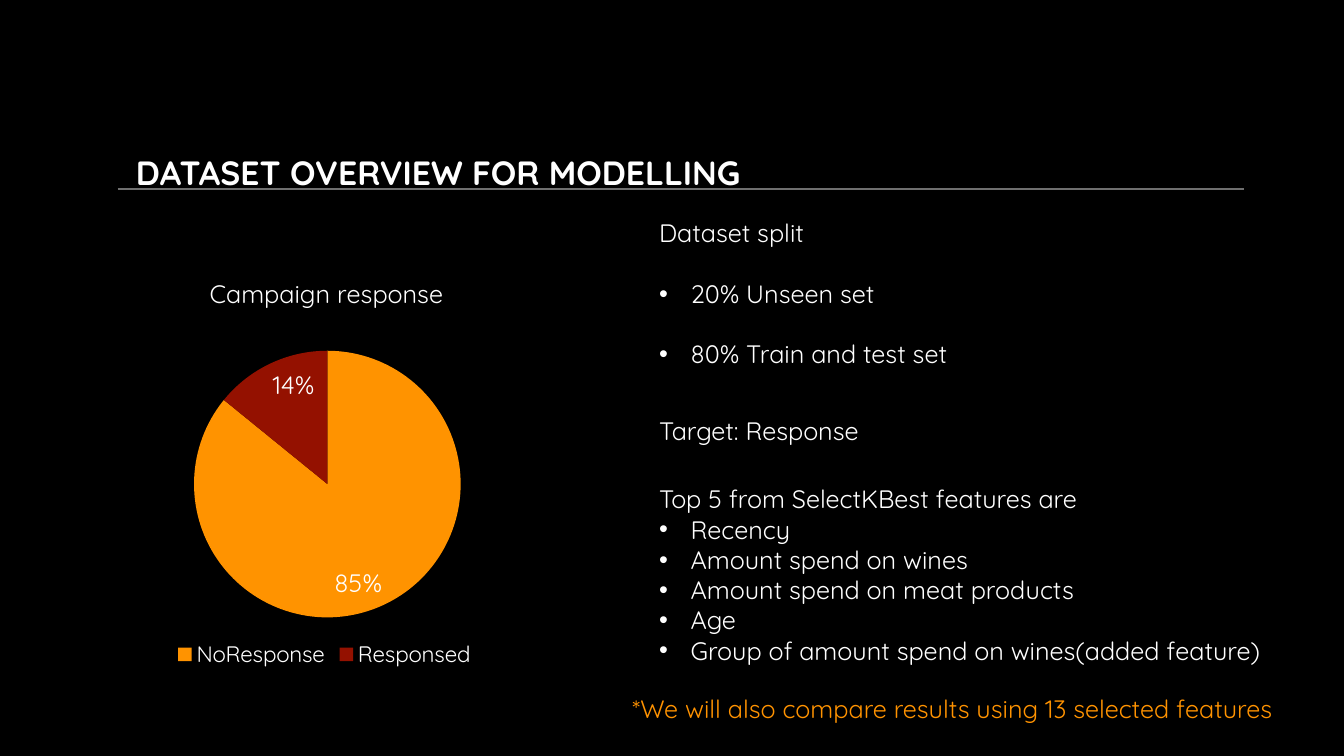
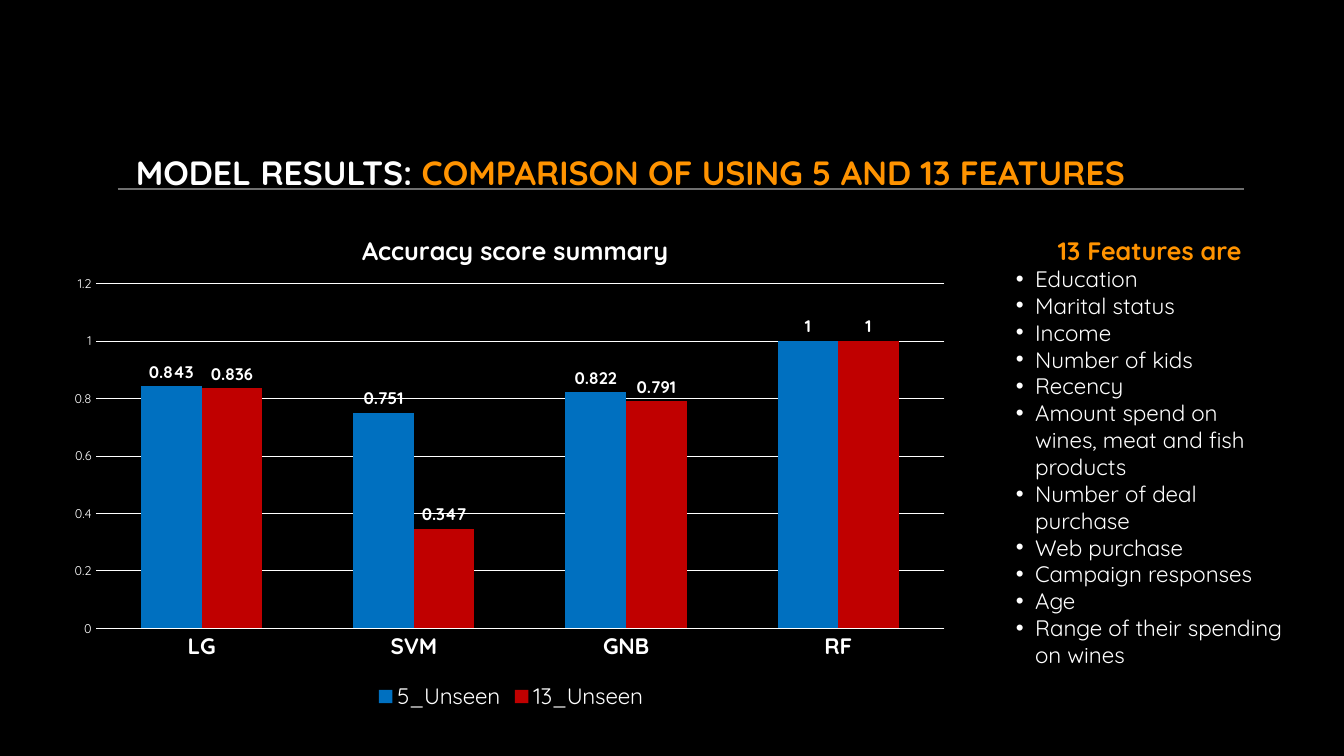
import pptx
import pptx.chart.data
import pptx.dml.color
import pptx.enum.chart
import pptx.enum.shapes
import pptx.enum.text
import pptx.oxml.ns
import pptx.oxml.xmlchemy
import pptx.util

Pt = pptx.util.Pt
qn = pptx.oxml.ns.qn
OxmlElement = pptx.oxml.xmlchemy.OxmlElement
ChartType = pptx.enum.chart.XL_CHART_TYPE
LabelPosition = pptx.enum.chart.XL_LABEL_POSITION
COLORS = {
    "background": "000000",
    "text": "FFFFFF",
    "accent": "FF9300",
    "rule": "6F6F6F",
    "responded": "941100",
    "five": "0070C0",
    "thirteen": "C00000",
}


def color(name):
    return pptx.dml.color.RGBColor.from_string(COLORS[name])


class Deck:
    font_name = "Quicksand"

    def __init__(self):
        self.presentation = pptx.Presentation()
        self.presentation.slide_width = Pt(960)
        self.presentation.slide_height = Pt(540)
        self.slide = None

    def style(self, font, size, bold=False, fill="text"):
        font.name = self.font_name
        font.size = Pt(size)
        font.bold = bold
        font.color.rgb = color(fill)

    def add_slide(self, *title_parts):
        self.slide = self.presentation.slides.add_slide(self.presentation.slide_layouts[6])
        background = self.slide.background.fill
        background.solid()
        background.fore_color.rgb = color("background")
        frame = self.text_frame(90, 48, 780, 150)
        frame.vertical_anchor = pptx.enum.text.MSO_ANCHOR.MIDDLE
        for text, fill in title_parts:
            self.add_run(frame.paragraphs[0], text, 24, True, fill)
        self.add_rule(84, 888.5, 135.3)

    def add_rule(self, left, right, top):
        connector = self.slide.shapes.add_connector(
            pptx.enum.shapes.MSO_CONNECTOR.STRAIGHT, Pt(left), Pt(top), Pt(right), Pt(top))
        connector.line.color.rgb = color("rule")
        connector.line.width = Pt(1.5)
        connector._element.spPr.append(OxmlElement("a:effectLst"))

    def text_frame(self, left, top, width, height):
        shape = self.slide.shapes.add_textbox(Pt(left), Pt(top), Pt(width), Pt(height))
        shape.text_frame.word_wrap = True
        return shape.text_frame

    def add_run(self, paragraph, text, size, bold=False, fill="text"):
        run = paragraph.add_run()
        run.text = text
        self.style(run.font, size, bold, fill)

    def add_text(self, box, text, size=18, bold=False, fill="text", centered=False):
        frame = self.text_frame(*box)
        paragraph = frame.paragraphs[0]
        if centered:
            paragraph.alignment = pptx.enum.text.PP_ALIGN.CENTER
        self.add_run(paragraph, text, size, bold, fill)
        return frame

    def add_bullets(self, frame, items, size=18, indent=22.5, gap=0):
        for item in items:
            paragraph = frame.add_paragraph()
            properties = paragraph._p.get_or_add_pPr()
            properties.set("marL", str(int(Pt(indent))))
            properties.set("indent", str(-int(Pt(indent))))
            for tag, key, value in (("a:buFont", "typeface", "Arial"), ("a:buChar", "char", "•")):
                bullet = OxmlElement(tag)
                bullet.set(key, value)
                properties.append(bullet)
            paragraph.space_before = Pt(gap)
            self.add_run(paragraph, item, size)

    def place(self, element, index, **fractions):
        for old in element.findall(qn("c:layout")):
            element.remove(old)
        layout = OxmlElement("c:layout")
        manual = OxmlElement("c:manualLayout")
        settings = {"xMode": "edge", "yMode": "edge", **fractions}
        if "w" in fractions:
            settings = {"layoutTarget": "inner", **settings}
        for key, value in settings.items():
            child = OxmlElement("c:" + key)
            child.set("val", str(value))
            manual.append(child)
        layout.append(manual)
        element.insert(index, layout)

    def add_chart(self, kind, box, categories, series, title, title_at, plot_at, bold=False):
        data = pptx.chart.data.CategoryChartData()
        data.categories = categories
        for name, values in series:
            data.add_series(name, values)
        chart = self.slide.shapes.add_chart(kind, *map(Pt, box), data).chart
        self.style(chart.font, 10)
        chart.has_title = True
        self.add_run(chart.chart_title.text_frame.paragraphs[0], title, 18, bold)
        self.place(chart.chart_title._element, 1, **dict(zip("xy", title_at)))
        self.place(chart._chartSpace.chart.plotArea, 0, **dict(zip("xywh", plot_at)))
        chart.has_legend = True
        chart.legend.position = pptx.enum.chart.XL_LEGEND_POSITION.BOTTOM
        chart.legend.include_in_layout = False
        self.style(chart.legend.font, 16)
        return chart

    def fill(self, item, name):
        item.format.fill.solid()
        item.format.fill.fore_color.rgb = color(name)

    def add_labels(self, plot, size, position, number_format, bold=False):
        plot.has_data_labels = True
        labels = plot.data_labels
        labels.show_value = True
        labels.show_percentage = False
        labels.position = position
        labels.number_format = number_format
        labels.number_format_is_linked = False
        self.style(labels.font, size, bold)

    def add_pie(self, box, categories, values, fills, **options):
        chart = self.add_chart(ChartType.PIE, box, categories, [("Series 1", values)], **options)
        plot = chart.plots[0]
        for index, name in enumerate(fills):
            self.fill(plot.series[0].points[index], name)
        self.add_labels(plot, 18, LabelPosition.INSIDE_END, "0%")

    def add_columns(self, box, categories, series, fills, **options):
        chart = self.add_chart(
            ChartType.COLUMN_CLUSTERED, box, categories, series, bold=True, **options)
        plot = chart.plots[0]
        plot.vary_by_categories = False
        plot.gap_width = 150
        plot.overlap = 0
        for item, name in zip(plot.series, fills):
            self.fill(item, name)
        self.add_labels(plot, 12, LabelPosition.OUTSIDE_END, "General", True)
        for axis, size, bold in ((chart.category_axis, 16, True), (chart.value_axis, 9, False)):
            axis.major_tick_mark = pptx.enum.chart.XL_TICK_MARK.NONE
            axis.minor_tick_mark = pptx.enum.chart.XL_TICK_MARK.NONE
            axis.format.line.fill.background()
            self.style(axis.tick_labels.font, size, bold)
        axis = chart.value_axis
        axis.minimum_scale, axis.maximum_scale, axis.major_unit = 0, 1.2, 0.2
        axis.has_major_gridlines = True
        axis.major_gridlines.format.line.color.rgb = color("text")
        axis.major_gridlines.format.line.width = Pt(0.75)


def add_dataset_slide(deck):
    deck.add_slide(("DATASET OVERVIEW FOR MODELLING", "text"))
    deck.add_pie(
        (18.7, 178, 426, 302.4), ["NoResponse", "Responsed"], [0.85, 0.14],
        ["accent", "responded"], title="Campaign response",
        title_at=(0.3, 0.05), plot_at=(0.28, 0.24, 0.45, 0.63))
    left = 463.7
    split = deck.add_text((left, 152, 260, 117), "Dataset split")
    deck.add_bullets(split, ["20% Unseen set", "80% Train and test set"], gap=21.6)
    features = deck.add_text((left, 342, 478, 138), "Top 5 from SelectKBest features are")
    deck.add_bullets(features, [
        "Recency", "Amount spend on wines", "Amount spend on meat products", "Age",
        "Group of amount spend on wines(added feature)"])
    deck.add_text((444.7, 492, 502, 29),
                  "*We will also compare results using 13 selected features", fill="accent")
    deck.add_text((left, 293, 165, 29), "Target: Response")


def add_results_slide(deck):
    deck.add_slide(("MODEL RESULTS: ", "text"),
                   ("COMPARISON OF USING 5 AND 13 FEATURES", "accent"))
    deck.add_columns(
        (42.5, 148.3, 645, 362.2), ["LG", "SVM", "GNB", "RF"],
        [("5_Unseen", [0.843, 0.751, 0.822, 1]), ("13_Unseen", [0.836, 0.347, 0.791, 1])],
        ["five", "thirteen"], title="Accuracy score summary",
        title_at=(0.33, 0.04), plot_at=(0.04, 0.15, 0.94, 0.68))
    features = deck.add_text((718.6, 164.2, 205.2, 318), "13 Features are",
                             bold=True, fill="accent", centered=True)
    deck.add_bullets(features, [
        "Education", "Marital status", "Income", "Number of kids", "Recency",
        "Amount spend on wines, meat and fish products", "Number of deal purchase",
        "Web purchase", "Campaign responses", "Age", "Range of their spending on wines",
    ], size=16, indent=13.7)


def main():
    deck = Deck()
    add_dataset_slide(deck)
    add_results_slide(deck)
    deck.presentation.save("out.pptx")


if __name__ == "__main__":
    main()
